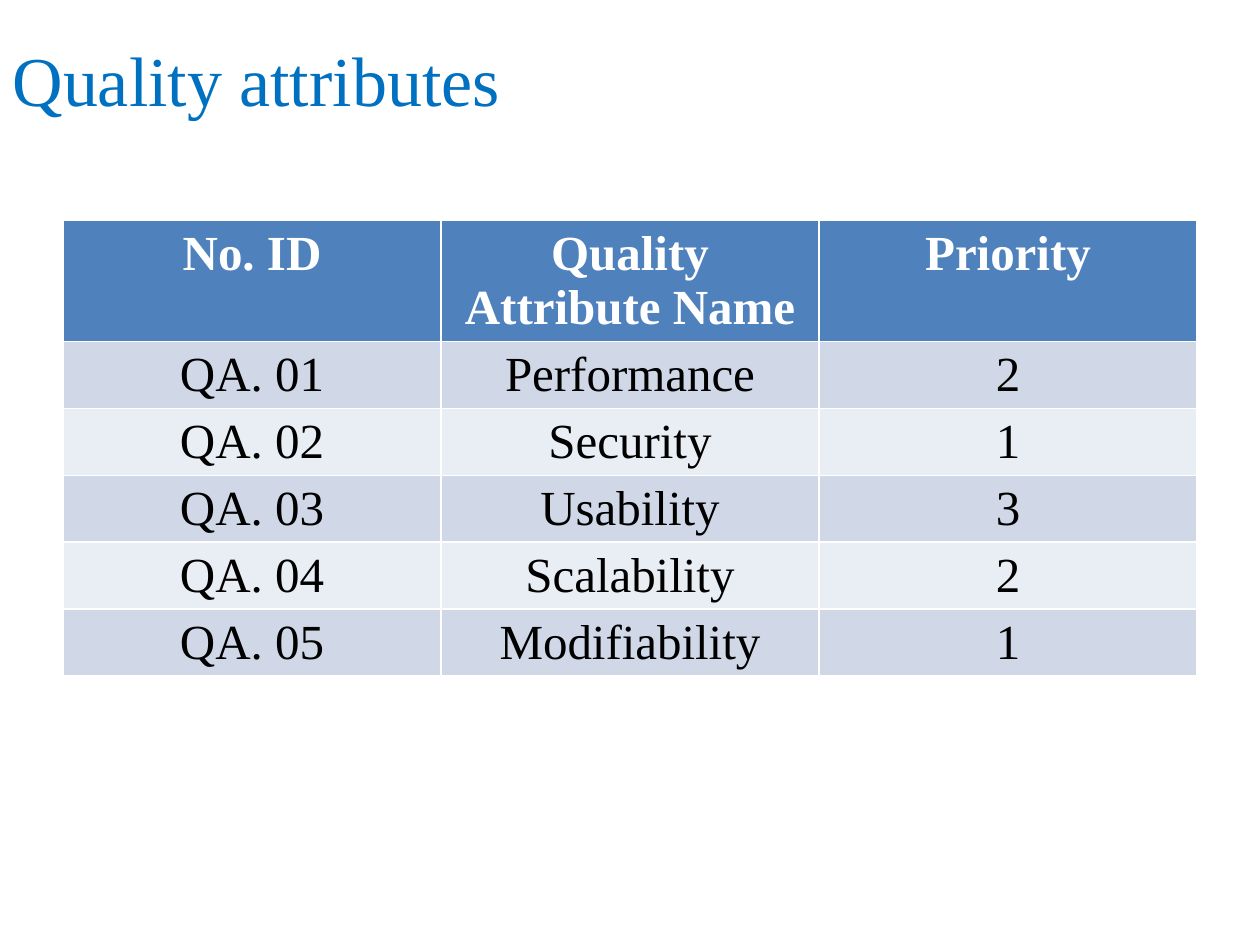
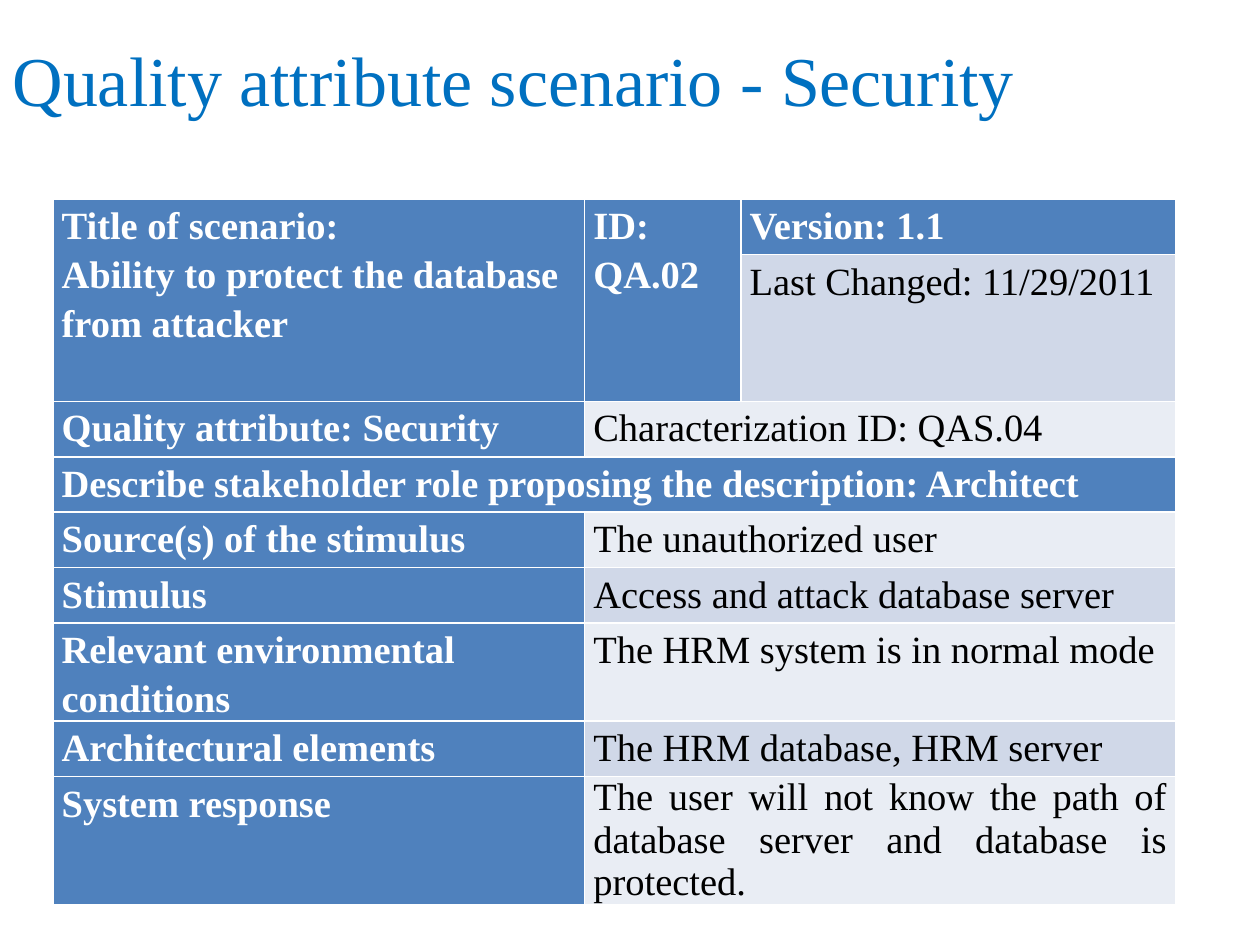
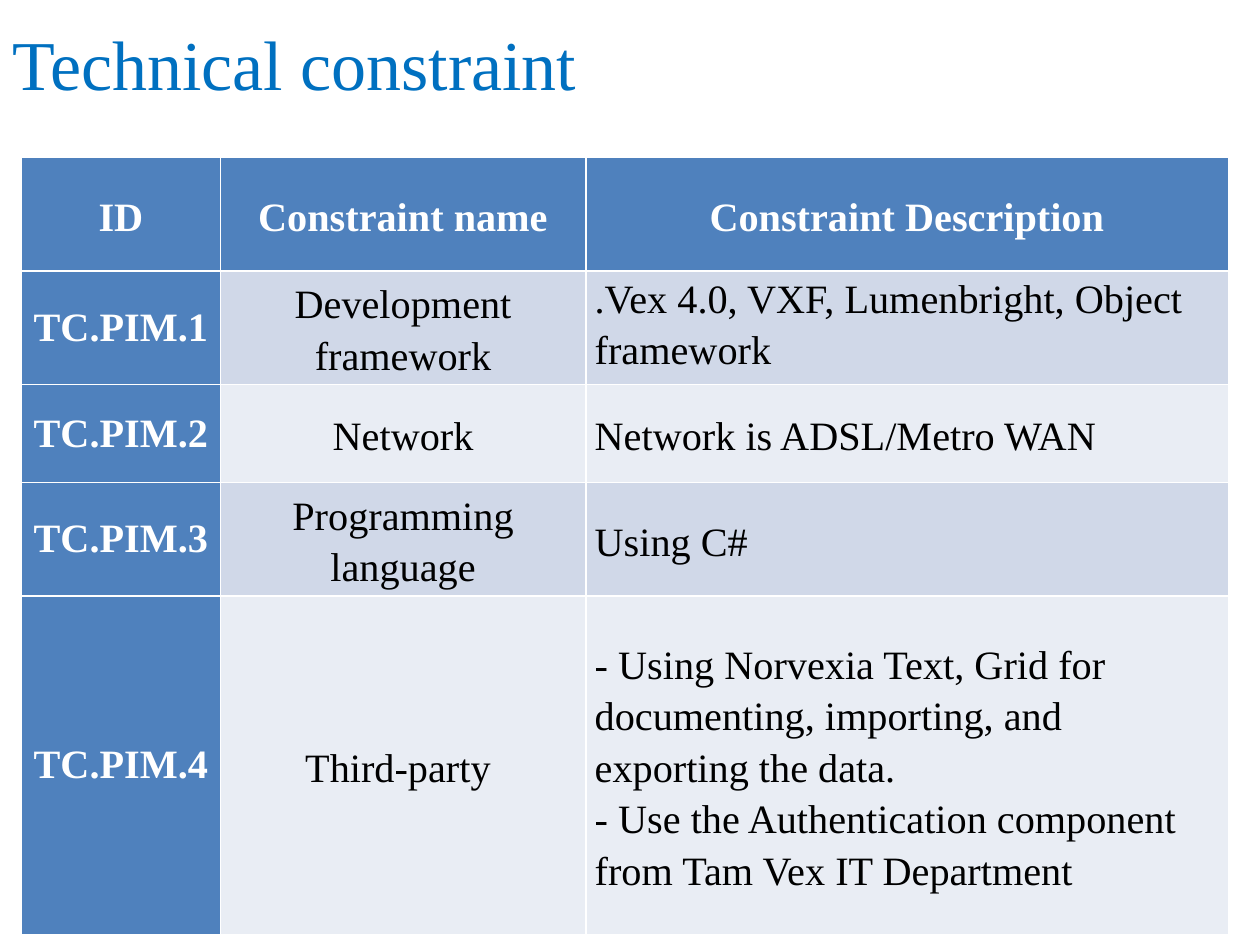
from dataclasses import dataclass, field

from pptx import Presentation
from pptx.dml.color import RGBColor
from pptx.enum.text import MSO_ANCHOR, PP_ALIGN
from pptx.util import Inches, Pt

LEFT, CENTER, JUSTIFY = PP_ALIGN.LEFT, PP_ALIGN.CENTER, PP_ALIGN.JUSTIFY
TOP, MIDDLE = MSO_ANCHOR.TOP, MSO_ANCHOR.MIDDLE
TITLE_ONLY_LAYOUT = 5


@dataclass(frozen=True)
class Theme:
    font: str = "Times New Roman"
    title_color: RGBColor = RGBColor(0x00, 0x70, 0xC0)
    header_fill: RGBColor = RGBColor(0x4F, 0x81, 0xBD)
    header_text: RGBColor = RGBColor(0xFF, 0xFF, 0xFF)
    body_text: RGBColor = RGBColor(0x00, 0x00, 0x00)
    band_fills: tuple = (RGBColor(0xE9, 0xED, 0xF4), RGBColor(0xD0, 0xD8, 0xE8))
    title_size: int = 40
    overview_size: int = 28
    scenario_size: int = 22
    constraint_size: int = 23


THEME = Theme()


@dataclass(frozen=True)
class CellFormat:
    alignment: PP_ALIGN = LEFT
    anchor: MSO_ANCHOR = TOP
    line_spacing: float = 1.15


@dataclass(frozen=True)
class TableSlide:
    """One titled table; lengths are in inches, merges are (first cell, last cell)."""
    title: str
    title_height: float
    position: tuple[float, float]
    height: float
    column_widths: tuple[float, ...]
    row_heights: tuple[float, ...]
    rows: tuple[tuple[str, ...], ...]
    text_size: int
    header_format: CellFormat
    column_formats: tuple[CellFormat, ...]
    special_formats: dict = field(default_factory=dict)
    merges: tuple = ()
    header_column: bool = True
    margins: tuple[float, float] = (0.07, 0)


OVERVIEW_FORMAT = CellFormat(CENTER, line_spacing=1.0)
SCENARIO_FORMAT = CellFormat()
CENTERED = CellFormat(CENTER, MIDDLE)

QUALITY_ATTRIBUTES = TableSlide(
    title="Quality attributes",
    title_height=1.25,
    position=(0.5, 1.75),
    height=3.87,
    column_widths=(3,) * 3,
    row_heights=(0.41,) * 6,
    rows=(
        ("No. ID", "Quality Attribute Name", "Priority"),
        ("QA. 01", "Performance", "2"),
        ("QA. 02", "Security", "1"),
        ("QA. 03", "Usability", "3"),
        ("QA. 04", "Scalability", "2"),
        ("QA. 05", "Modifiability", "1"),
    ),
    text_size=THEME.overview_size,
    header_format=OVERVIEW_FORMAT,
    column_formats=(OVERVIEW_FORMAT,) * 3,
    header_column=False,
    margins=(0.1, 0.05),
)

SECURITY_SCENARIO = TableSlide(
    title="Quality attribute scenario - Security",
    title_height=1.25,
    position=(0.42, 1.58),
    height=5.39,
    column_widths=(4.22, 1.24, 3.45),
    row_heights=(0.44, 0.46, 0.44, 0.44, 0.44, 0.44, 0.52, 0.44, 0.93),
    rows=(
        ("Title of scenario:\nAbility to protect the database from attacker",
         "ID: QA.02", "Version: 1.1"),
        ("", "", "Last Changed: 11/29/2011"),
        ("Quality attribute: Security", "Characterization ID: QAS.04"),
        ("Describe stakeholder role proposing the description: Architect",),
        ("Source(s) of the stimulus", "The unauthorized user"),
        ("Stimulus", "Access and attack database server"),
        ("Relevant environmental conditions", "The HRM system is in normal mode"),
        ("Architectural elements", "The HRM database, HRM server"),
        ("System response",
         "The user will not know the path of database server and database is protected."),
    ),
    text_size=THEME.scenario_size,
    header_format=SCENARIO_FORMAT,
    column_formats=(SCENARIO_FORMAT,) * 3,
    special_formats={(8, 1): CellFormat(JUSTIFY, line_spacing=1.0)},
    merges=(
        ((0, 0), (1, 0)),
        ((0, 1), (1, 1)),
        ((3, 0), (3, 2)),
        *(((row, 1), (row, 2)) for row in (2, 4, 5, 6, 7, 8)),
    ),
)

TECHNICAL_CONSTRAINT = TableSlide(
    title="Technical constraint",
    title_height=1,
    position=(0.17, 1.25),
    height=6.17,
    column_widths=(1.58, 2.9, 5.1),
    row_heights=(0.9, 0.9, 0.78, 0.9, 2.69),
    rows=(
        ("ID", "Constraint name", "Constraint Description"),
        ("TC.PIM.1", "Development framework",
         ".Vex 4.0, VXF, Lumenbright, Object framework"),
        ("TC.PIM.2", "Network", "Network is ADSL/Metro WAN"),
        ("TC.PIM.3", "Programming language", "Using C#"),
        ("TC.PIM.4", "Third-party ",
         "- Using Norvexia Text, Grid for documenting, importing, and exporting the data.\n"
         "- Use the Authentication component from Tam Vex IT Department"),
    ),
    text_size=THEME.constraint_size,
    header_format=CENTERED,
    column_formats=(CellFormat(CENTER, MIDDLE, 1.0), CENTERED, CellFormat(LEFT, MIDDLE)),
    special_formats={(1, 2): CellFormat()},
)


def style_paragraph(paragraph, size: int, color: RGBColor, bold: bool,
                    alignment: PP_ALIGN) -> None:
    paragraph.alignment = alignment
    font = paragraph.font
    font.name, font.size, font.bold = THEME.font, Pt(size), bold
    font.color.rgb = color


def add_title(slide, text: str, height: float) -> None:
    title = slide.shapes.title
    title.left, title.top = Inches(0), Inches(0)
    title.width, title.height = Inches(9), Inches(height)
    title.text_frame.text = text
    title.text_frame.vertical_anchor = MIDDLE
    style_paragraph(title.text_frame.paragraphs[0], THEME.title_size,
                    THEME.title_color, False, LEFT)


def fill_cell(cell, text: str, row: int, column: int, content: TableSlide) -> None:
    is_header = row == 0 or (content.header_column and column == 0)
    default = content.header_format if row == 0 else content.column_formats[column]
    cell_format = content.special_formats.get((row, column), default)

    cell.fill.solid()
    cell.fill.fore_color.rgb = THEME.header_fill if is_header else THEME.band_fills[row % 2]
    horizontal, vertical = content.margins
    cell.margin_left = cell.margin_right = Inches(horizontal)
    cell.margin_top = cell.margin_bottom = Inches(vertical)
    cell.vertical_anchor = cell_format.anchor
    cell.text_frame.text = text
    for paragraph in cell.text_frame.paragraphs:
        color = THEME.header_text if is_header else THEME.body_text
        style_paragraph(paragraph, content.text_size, color, is_header,
                        cell_format.alignment)
        paragraph.line_spacing = cell_format.line_spacing


def add_content_table(slide, content: TableSlide) -> None:
    left, top = content.position
    frame = slide.shapes.add_table(
        len(content.row_heights), len(content.column_widths), Inches(left), Inches(top),
        Inches(sum(content.column_widths)), Inches(content.height))
    table = frame.table
    table.first_col = content.header_column
    for column, width in zip(table.columns, content.column_widths):
        column.width = Inches(width)
    for row, height in zip(table.rows, content.row_heights):
        row.height = Inches(height)
    frame.height = Inches(content.height)

    for first, last in content.merges:
        table.cell(*first).merge(table.cell(*last))
    for row, texts in enumerate(content.rows):
        for column, text in enumerate(texts):
            cell = table.cell(row, column)
            if not cell.is_spanned:
                fill_cell(cell, text, row, column, content)


def main() -> None:
    presentation = Presentation()
    presentation.slide_width, presentation.slide_height = Inches(10), Inches(7.5)
    layout = presentation.slide_layouts[TITLE_ONLY_LAYOUT]
    for content in (QUALITY_ATTRIBUTES, SECURITY_SCENARIO, TECHNICAL_CONSTRAINT):
        slide = presentation.slides.add_slide(layout)
        add_title(slide, content.title, content.title_height)
        add_content_table(slide, content)
    presentation.save("out.pptx")


if __name__ == "__main__":
    main()
